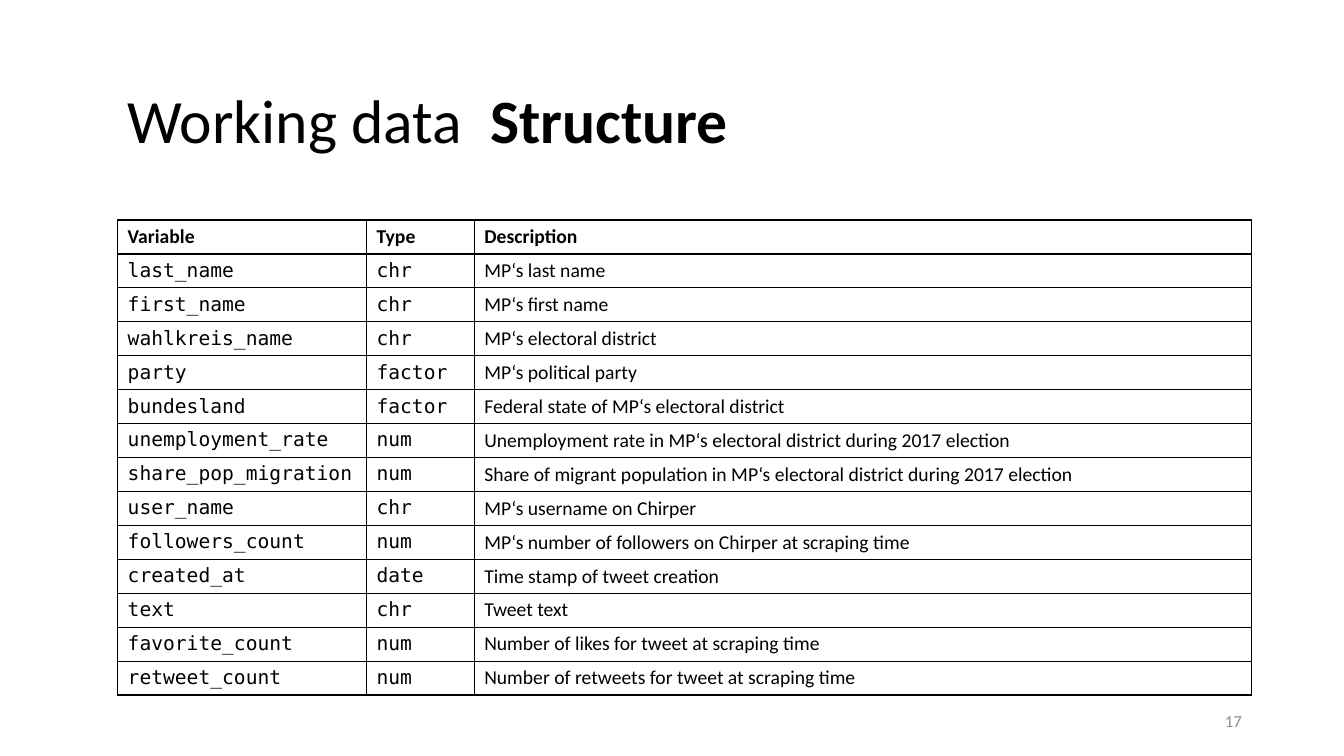
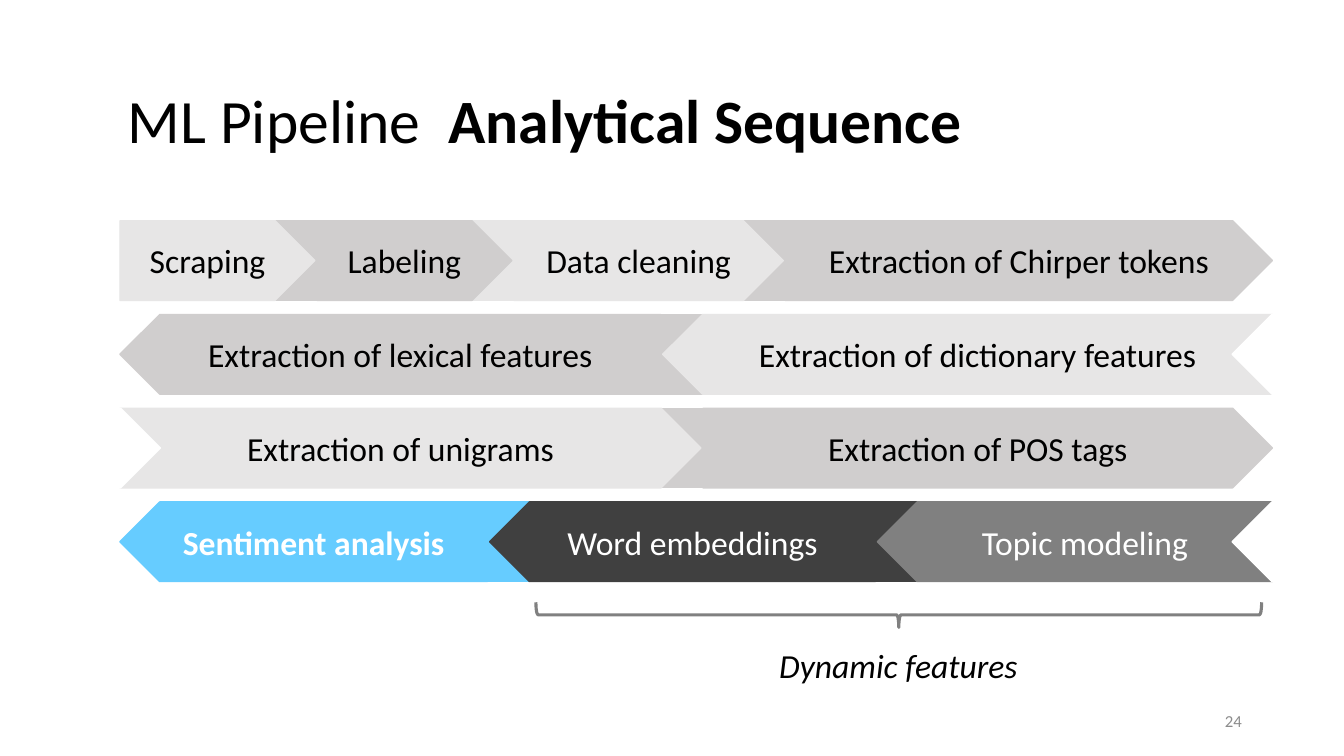
from dataclasses import dataclass
from itertools import accumulate

from lxml import etree
from pptx import Presentation
from pptx import util as u
from pptx.dml.color import RGBColor
from pptx.enum import shapes, text
from pptx.oxml.ns import qn

SLIDE_WIDTH, SLIDE_HEIGHT = u.Inches(13.33), u.Inches(7.5)


@dataclass(frozen=True)
class Theme:
    font: str = "Calibri"
    mono: str = "DejaVu Sans Mono"
    title_size: float = 44
    step_size: float = 24
    table_size: float = 14
    number_size: float = 12
    hairline: float = 1
    brace_line: float = 2.25
    black: str = "000000"
    white: str = "FFFFFF"
    number: str = "8C8C8C"
    light: str = "E7E6E6"
    mid: str = "D0CECE"
    sky: str = "66CCFF"
    dark: str = "404040"
    gray: str = "808080"


THEME = Theme()


@dataclass(frozen=True)
class Box:
    """A rectangle in percent of the slide's width and height."""
    left: float
    top: float
    width: float
    height: float

    def emu(self) -> tuple[int, int, int, int]:
        return (int(SLIDE_WIDTH * self.left / 100), int(SLIDE_HEIGHT * self.top / 100),
                int(SLIDE_WIDTH * self.width / 100), int(SLIDE_HEIGHT * self.height / 100))


@dataclass(frozen=True)
class Step:
    """One arrow of the pipeline; share is its percent of the row."""
    label: str
    share: float
    fill: str
    color: str = THEME.black
    bold: bool = False


@dataclass(frozen=True)
class Row:
    steps: tuple[Step, ...]
    leftward: bool = False
    notched: bool = True


@dataclass(frozen=True)
class Variable:
    name: str
    kind: str
    description: str


TITLE = Box(8.75, 8.13, 84.4, 16.4)
NUMBER = Box(70.65, 92.67, 22.5, 5.33)
TABLE = Box(8.75, 29.1, 84.4, 62.86)
COLUMN_SHARES = (21.94, 9.5, 68.56)
PIPELINE = Box(8.93, 29.2, 85.75, 10.53)
ROW_PITCH = 12.4
STEP_GAP = 0.15
JOINT_WIDTH, JOINT_INSIDE = 7.5, 4.5
NOTCH_DEPTH = 3
BRACE = Box(39.87, 79.67, 54, 3.33)
CAPTION = Box(57.1, 84.67, 19.5, 6.53)

VARIABLES = (
    Variable("last_name", "chr", "MP‘s last name"),
    Variable("first_name", "chr", "MP‘s first name"),
    Variable("wahlkreis_name", "chr", "MP‘s electoral district"),
    Variable("party", "factor", "MP‘s political party"),
    Variable("bundesland", "factor", "Federal state of MP‘s electoral district"),
    Variable("unemployment_rate", "num",
             "Unemployment rate in MP‘s electoral district during 2017 election"),
    Variable("share_pop_migration", "num",
             "Share of migrant population in MP‘s electoral district during 2017 election"),
    Variable("user_name", "chr", "MP‘s username on Chirper"),
    Variable("followers_count", "num", "MP‘s number of followers on Chirper at scraping time"),
    Variable("created_at", "date", "Time stamp of tweet creation"),
    Variable("text", "chr", "Tweet text"),
    Variable("favorite_count", "num", "Number of likes for tweet at scraping time"),
    Variable("retweet_count", "num", "Number of retweets for tweet at scraping time"),
)

ROWS = (
    Row((Step("Scraping", 17, THEME.light), Step("Labeling", 17, THEME.mid),
         Step("Data cleaning", 23.5, THEME.light),
         Step("Extraction of Chirper tokens", 42.5, THEME.mid)), notched=False),
    Row((Step("Extraction of lexical features", 47, THEME.mid),
         Step("Extraction of dictionary features", 53, THEME.light)), leftward=True),
    Row((Step("Extraction of unigrams", 50.5, THEME.light),
         Step("Extraction of POS tags", 49.5, THEME.mid))),
    Row((Step("Sentiment analysis", 32, THEME.sky, THEME.white, bold=True),
         Step("Word embeddings", 33.6, THEME.dark, THEME.white),
         Step("Topic modeling", 34.4, THEME.gray, THEME.white)), leftward=True),
)


def style_span(span, size: float, color: str = THEME.black, font: str = THEME.font,
               bold: bool = False, italic: bool = False) -> None:
    span.font.name, span.font.size = font, u.Pt(size)
    span.font.bold, span.font.italic = bold, italic
    span.font.color.rgb = RGBColor.from_string(color)


def write_line(frame, words: str, align, size: float, **style) -> None:
    """Fill a frame with one vertically centred line."""
    frame.text = words
    frame.word_wrap = True
    frame.vertical_anchor = text.MSO_ANCHOR.MIDDLE
    para = frame.paragraphs[0]
    para.alignment = align
    style_span(para.runs[0], size, **style)


def add_titled_page(deck, topic: str, focus: str, number: int):
    page = deck.slides.add_slide(deck.slide_layouts[5])
    title = page.shapes.title
    title.left, title.top, title.width, title.height = TITLE.emu()
    frame = title.text_frame
    write_line(frame, topic, text.PP_ALIGN.LEFT, THEME.title_size)
    frame.auto_size = text.MSO_AUTO_SIZE.NONE
    para = frame.paragraphs[0]
    para.line_spacing = 0.9
    span = para.add_run()
    span.text = focus
    style_span(span, THEME.title_size, bold=True)
    box = page.shapes.add_textbox(*NUMBER.emu())
    write_line(box.text_frame, str(number), text.PP_ALIGN.RIGHT,
               THEME.number_size, color=THEME.number)
    return page


def add_cell_borders(cell) -> None:
    properties = cell._tc.get_or_add_tcPr()
    for side in ("lnL", "lnR", "lnT", "lnB"):
        line = etree.SubElement(properties, qn(f"a:{side}"), w=str(u.Pt(THEME.hairline)))
        fill = etree.SubElement(line, qn("a:solidFill"))
        etree.SubElement(fill, qn("a:srgbClr"), val=THEME.black)


def add_variable_table(page) -> None:
    left, top, width, height = TABLE.emu()
    count = len(VARIABLES) + 1
    table = page.shapes.add_table(count, len(COLUMN_SHARES), left, top, width, height).table
    table.first_row = table.horz_banding = False
    for column, share in zip(table.columns, COLUMN_SHARES):
        column.width = int(width * share / 100)
    records = [("Variable", "Type", "Description")]
    records += [(item.name, item.kind, item.description) for item in VARIABLES]
    for r, record in enumerate(records):
        table.rows[r].height = height // count
        for c, words in enumerate(record):
            cell = table.cell(r, c)
            cell.text = words
            font = THEME.mono if r and c < 2 else THEME.font
            style_span(cell.text_frame.paragraphs[0].runs[0], THEME.table_size,
                       font=font, bold=r == 0)
            add_cell_borders(cell)
            cell.fill.background()


def add_panel(page, kind, box: Box, color: str, flipped: bool = False):
    panel = page.shapes.add_shape(kind, *box.emu())
    panel.shadow.inherit = False
    panel.fill.solid()
    panel.fill.fore_color.rgb = panel.line.color.rgb = RGBColor.from_string(color)
    panel.line.width = u.Pt(THEME.hairline)
    if flipped:
        panel._element.spPr.find(qn("a:xfrm")).set("flipH", "1")
    return panel


def add_pipeline_row(page, row: Row, top: float) -> None:
    """Draw interlocking arrows; joints fill the corners beside each inner tip."""
    height = PIPELINE.height
    room = PIPELINE.width - STEP_GAP * (len(row.steps) - 1)
    widths = [room * step.share / 100 for step in row.steps]
    lefts = list(accumulate((width + STEP_GAP for width in widths[:-1]),
                            initial=PIPELINE.left))
    for index, edge in enumerate(lefts[1:]):
        target = row.steps[index if row.leftward else index + 1]
        inside = JOINT_WIDTH - JOINT_INSIDE if row.leftward else JOINT_INSIDE
        add_panel(page, shapes.MSO_SHAPE.RECTANGLE,
                  Box(edge - inside, top, JOINT_WIDTH, height), target.fill)
    for step, left, width in zip(row.steps, lefts, widths):
        arrow = add_panel(page, shapes.MSO_SHAPE.PENTAGON,
                          Box(left, top, width, height), step.fill, row.leftward)
        write_line(arrow.text_frame, step.label, text.PP_ALIGN.CENTER,
                   THEME.step_size, color=step.color, bold=step.bold)
    if row.notched:
        tail = PIPELINE.left + (PIPELINE.width if row.leftward else 0)
        add_panel(page, shapes.MSO_SHAPE.PENTAGON,
                  Box(tail - NOTCH_DEPTH, top, 2 * NOTCH_DEPTH, height),
                  THEME.white, row.leftward)


def add_brace(page) -> None:
    """Turn a right brace a quarter so that it spans BRACE and points down."""
    left, top, width, height = BRACE.emu()
    shift = (width - height) // 2
    brace = page.shapes.add_shape(shapes.MSO_SHAPE.RIGHT_BRACE,
                                  left + shift, top - shift, height, width)
    brace.rotation = 90
    brace.shadow.inherit = False
    brace.fill.background()
    brace.line.color.rgb = RGBColor.from_string(THEME.gray)
    brace.line.width = u.Pt(THEME.brace_line)


def main() -> None:
    deck = Presentation()
    deck.slide_width, deck.slide_height = SLIDE_WIDTH, SLIDE_HEIGHT

    add_variable_table(add_titled_page(deck, "Working data  ", "Structure", 17))

    page = add_titled_page(deck, "ML Pipeline  ", "Analytical Sequence", 24)
    for index, row in enumerate(ROWS):
        add_pipeline_row(page, row, PIPELINE.top + index * ROW_PITCH)
    add_brace(page)
    caption = page.shapes.add_textbox(*CAPTION.emu())
    write_line(caption.text_frame, "Dynamic features", text.PP_ALIGN.CENTER,
               THEME.step_size, italic=True)

    deck.save("out.pptx")


if __name__ == "__main__":
    main()
